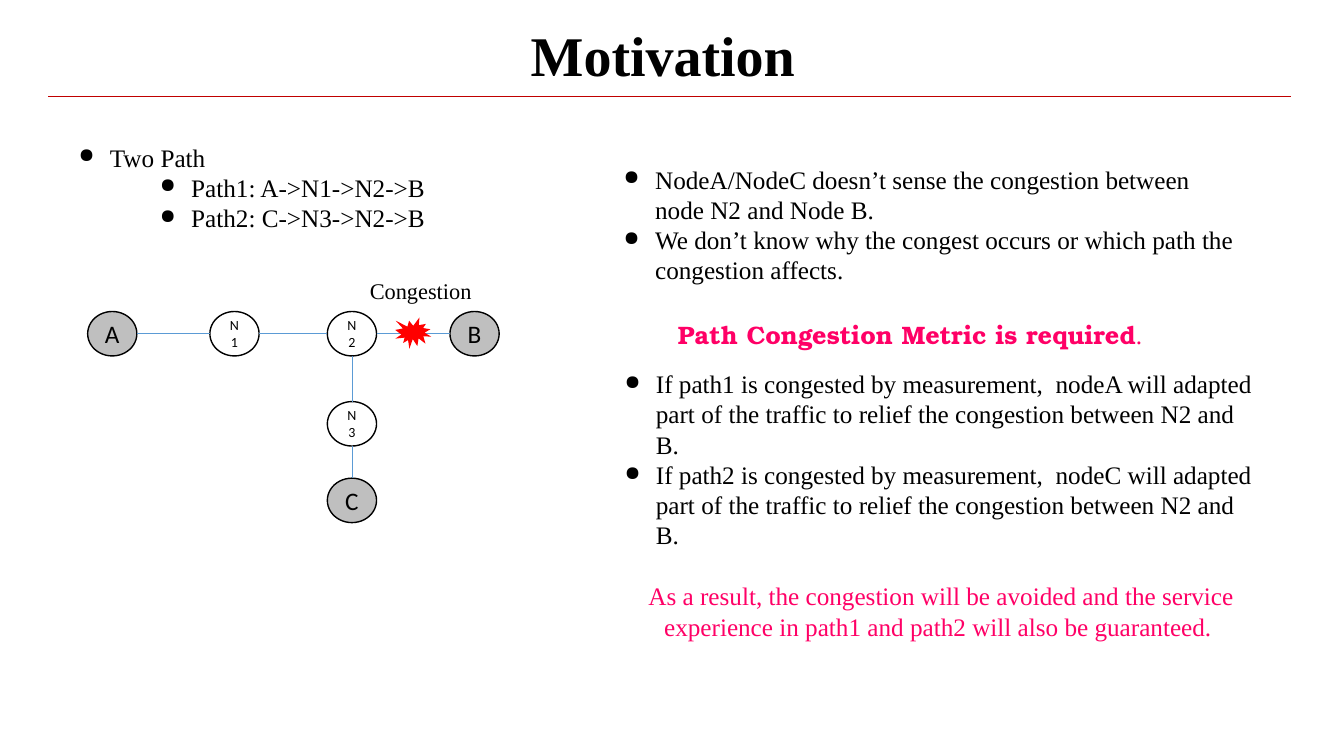
from pptx import Presentation
from pptx.dml.color import RGBColor
from pptx.enum.shapes import MSO_CONNECTOR, MSO_SHAPE
from pptx.enum.text import MSO_ANCHOR, PP_ALIGN
from pptx.oxml.ns import qn
from pptx.util import Cm, Pt
from lxml import etree

BLACK = RGBColor(0, 0, 0)
GREY = RGBColor(0xBF, 0xBF, 0xBF)
RED = RGBColor(0xFF, 0, 0)
DARK = RGBColor(0xC0, 0, 0)
BLUE = RGBColor(0x5B, 0x9B, 0xD5)
PINK = RGBColor(0xFF, 0, 0x66)
SERIF = "Times New Roman"

prs = Presentation()
prs.slide_width, prs.slide_height = Cm(33.87), Cm(19.05)
slide = prs.slides.add_slide(prs.slide_layouts[6])
shapes = slide.shapes


def add_text(left, top, width, height, lines, size=18, color=BLACK):
    """Add a serif text box; each line is (text, bullet indent in cm or None)."""
    box = shapes.add_textbox(Cm(left), Cm(top), Cm(width), Cm(height))
    frame = box.text_frame
    frame.word_wrap = True
    for i, (text, indent) in enumerate(lines):
        para = frame.add_paragraph() if i else frame.paragraphs[0]
        para.text = text
        if indent:
            props = para._p.get_or_add_pPr()
            props.set("marL", str(Cm(indent)))
            props.set("indent", str(Cm(-0.79)))
            etree.SubElement(props, qn("a:buSzPct")).set("val", "80000")
            etree.SubElement(props, qn("a:buChar")).set("char", "●")
        else:
            para.alignment = PP_ALIGN.CENTER
        for run in para.runs:
            run.font.name = SERIF
            run.font.size = Pt(size)
            run.font.color.rgb = color
    return frame


def add_line(x1, y1, x2, y2, color, width):
    line = shapes.add_connector(
        MSO_CONNECTOR.STRAIGHT, Cm(x1), Cm(y1), Cm(x2), Cm(y2))
    line.line.color.rgb = color
    line.line.width = Pt(width)
    etree.SubElement(line._element.spPr, qn("a:effectLst"))


# Title
title = add_text(1.22, 0.51, 31.32, 1.9, [("Motivation ", None)], 40)
title.vertical_anchor = MSO_ANCHOR.MIDDLE
title.paragraphs[0].line_spacing = 0.9
title.paragraphs[0].runs[0].font.bold = True
add_line(1.22, 2.42, 32.54, 2.42, DARK, 0.25)

# Network: name, left, top, end node or not
WIDE, HIGH = 1.24, 1.12
nodes = [
    ("A", 2.21, 7.85, True),
    ("N1", 5.29, 7.85, False),
    ("N2", 8.25, 7.85, False),
    ("B", 11.34, 7.85, True),
    ("N3", 8.25, 10.12, False),
    ("C", 8.25, 12.05, True),
]
spots = {}
for name, left, top, end in nodes:
    spots[name] = left, top
    node = shapes.add_shape(
        MSO_SHAPE.OVAL, Cm(left), Cm(top), Cm(WIDE), Cm(HIGH))
    node.shadow.inherit = False
    if end:
        node.fill.solid()
        node.fill.fore_color.rgb = GREY
    else:
        node.fill.background()
    node.line.color.rgb = BLACK
    node.line.width = Pt(1)
    frame = node.text_frame
    frame.text = name
    frame.vertical_anchor = MSO_ANCHOR.MIDDLE
    para = frame.paragraphs[0]
    para.alignment = PP_ALIGN.CENTER
    font = para.runs[0].font
    font.name = "Calibri"
    font.size = Pt(18 if end else 10)
    font.color.rgb = BLACK

for start, stop in [("A", "N1"), ("N1", "N2"), ("N2", "B")]:
    (x1, y), (x2, _) = spots[start], spots[stop]
    add_line(x1 + WIDE, y + HIGH / 2, x2, y + HIGH / 2, BLUE, 0.5)
for start, stop in [("N2", "N3"), ("N3", "C")]:
    (x, y1), (_, y2) = spots[start], spots[stop]
    add_line(x + WIDE / 2, y1 + HIGH, x + WIDE / 2, y2, BLUE, 0.5)

burst = shapes.add_shape(
    MSO_SHAPE.EXPLOSION1, Cm(9.96), Cm(8), Cm(0.91), Cm(0.79))
burst.shadow.inherit = False
burst.fill.solid()
burst.fill.fore_color.rgb = RED
burst.line.fill.background()
label = add_text(9.07, 6.86, 3.38, 0.94, [("Congestion", None)], 16)
label.paragraphs[0].alignment = PP_ALIGN.LEFT

# Paths
paths = add_text(1.73, 3.45, 11.4, 2.57, [
    ("Two Path", 0.79),
    ("Path1: A->N1->N2->B", 2.84),
    ("Path2: C->N3->N2->B", 2.84),
])
for para in paths.paragraphs[1:]:
    para.level = 1

# Reasoning
add_text(15.47, 4.01, 16.03, 3.33, [
    ("NodeA/NodeC doesn’t sense the congestion between node N2 and Node B.",
     0.79),
    ("We don’t know why the congest occurs or which path the congestion "
     "affects.", 0.79),
])
claim = add_text(14.4, 7.92, 17.07, 1.02,
                 [("Path Congestion Metric is required", None)], color=PINK)
bold = claim.paragraphs[0].runs[0].font
bold.name = "TeX Gyre Bonum"
bold.bold = True
dot = claim.paragraphs[0].add_run()
dot.text = "."
dot.font.name = SERIF
dot.font.size = Pt(18)
dot.font.color.rgb = PINK

RELIEF = ("If path{} is congested by measurement,  node{} will adapted part of "
          "the traffic to relief the congestion between N2 and B.")
result = add_text(15.49, 9.16, 16.46, 5.62, [
    (RELIEF.format(1, "A"), 0.79),
    (RELIEF.format(2, "C"), 0.79),
    ("As a result, the congestion will be avoided and the service experience "
     "in path1 and path2 will also be guaranteed. ", None),
])
last = result.paragraphs[-1]
last.space_before = Pt(22)
last.runs[0].font.color.rgb = PINK

prs.save("out.pptx")
